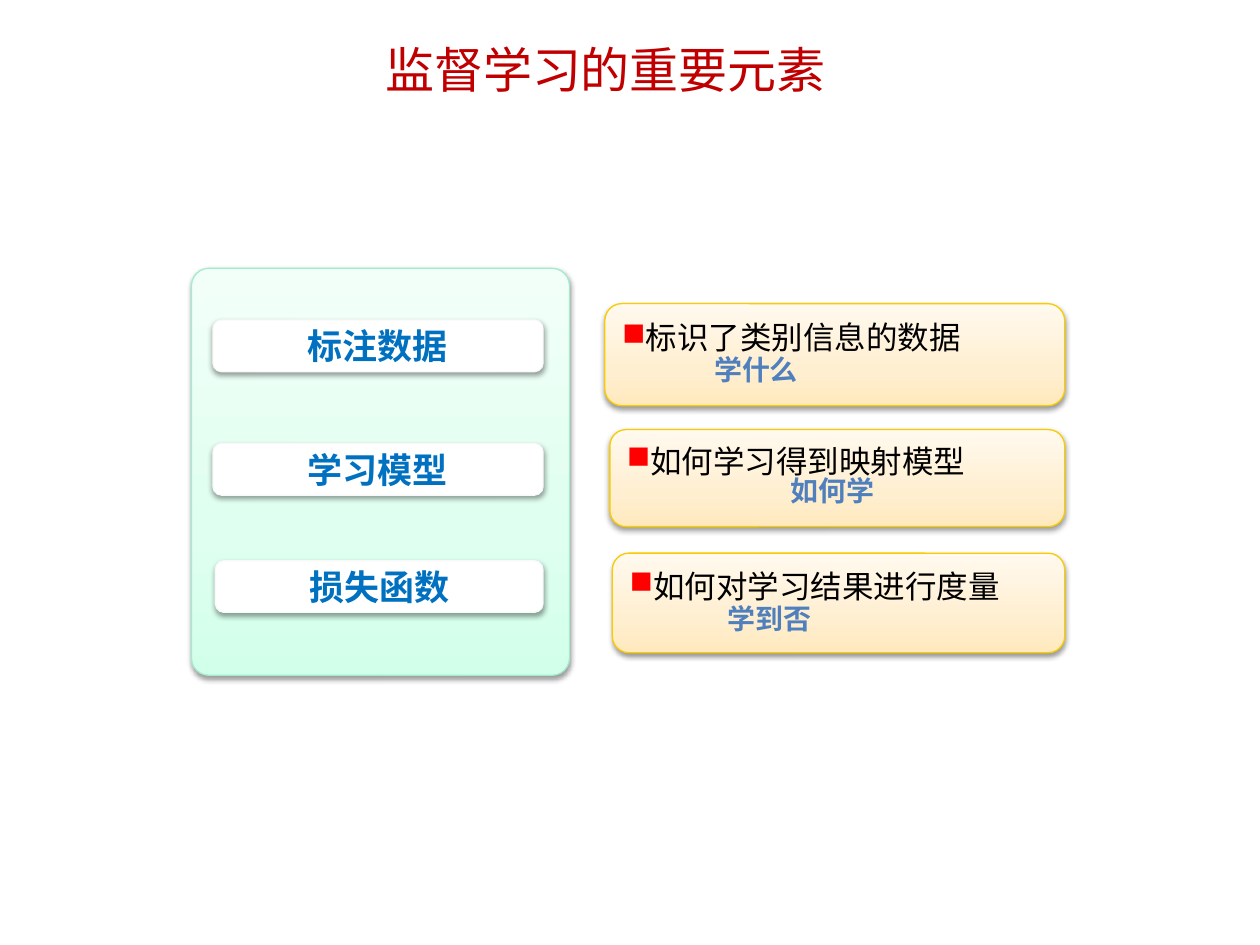
from dataclasses import dataclass
from pptx import Presentation
from pptx.dml.color import RGBColor as Rgb
from pptx.enum.shapes import MSO_SHAPE as Shape
from pptx.enum.text import MSO_ANCHOR as Anchor, PP_ALIGN as Align
from pptx.oxml import parse_xml
from pptx.oxml.ns import nsdecls, qn
from pptx.util import Inches, Pt


@dataclass(frozen=True)
class Theme:
    face: str = "Noto Sans CJK SC"
    serif: str = "Times New Roman"
    title: str = "C00000"
    label: str = "0070C0"
    body: str = "000000"
    key: str = "4F80BD"
    mark: str = "FF0000"
    white: str = "FFFFFF"
    rim: str = "F9F9F9"
    mint: tuple = ("D2FFEA", "DFFFF0", "F2FFF9")
    leaf: str = "A5EBCD"
    cream: tuple = ("FFE9BD", "FFEFD1", "FFF9EE")
    gold: str = "FACB00"
    head: int = 28
    big: int = 20
    mid: int = 18
    small: int = 16


def node(tag, attrs="", inner=""):
    return parse_xml(f"<a:{tag} {nsdecls('a')} {attrs}>{inner}</a:{tag}>")


def write(par, text, size, color, face, bold=False, align=Align.LEFT,
          space=1.0, left=0, hang=0, mark=None):
    props = par._p.get_or_add_pPr()
    props.set("marL", str(Inches(left)))
    props.set("indent", str(Inches(-hang)))
    par.alignment, par.line_spacing = align, space
    if mark:
        props.append(node("buClr", inner=f'<a:srgbClr val="{mark}"/>'))
        props.append(node("buChar", 'char="■"'))
    run = par.add_run()
    run.text = text
    font = run.font
    font.size, font.bold, font.name = Pt(size), bold, face
    font.color.rgb = Rgb.from_string(color)
    font._element.find(qn("a:latin")).addnext(
        node("ea", f'typeface="{Theme.face}"'))


class Deck:
    """Hold the theme and the current slide, and draw each kind of element."""

    def __init__(self, theme):
        self.look = theme
        self.show = Presentation()
        self.show.slide_width, self.show.slide_height = Inches(10), Inches(7.5)
        self.page = self.show.slides.add_slide(self.show.slide_layouts[5])

    def frame(self, shape, top=0.0, foot=0.0):
        frame = shape.text_frame
        frame.word_wrap, frame.vertical_anchor = True, Anchor.MIDDLE
        frame.margin_left = frame.margin_right = Inches(0.1)
        frame.margin_top, frame.margin_bottom = Inches(top), Inches(foot)
        return frame

    def title(self, text, *area):
        look, shape = self.look, self.page.shapes.title
        shape.left, shape.top, shape.width, shape.height = map(Inches, area)
        frame = self.frame(shape, 0.16, 0.05)
        write(frame.paragraphs[0], text, look.head, look.title, look.face,
              align=Align.CENTER, space=0.9)

    def box(self, area, fill, line, bend=None):
        shape = self.page.shapes.add_shape(
            Shape.ROUNDED_RECTANGLE, *map(Inches, area))
        if bend is not None:
            shape.adjustments[0] = bend
        props = shape._element.spPr
        if isinstance(fill, tuple):
            stops = "".join(
                f'<a:gs pos="{pos}"><a:srgbClr val="{tint}"/></a:gs>'
                for pos, tint in zip((0, 35000, 100000), fill))
            props.find(qn("a:prstGeom")).addnext(node(
                "gradFill", inner=f"<a:gsLst>{stops}</a:gsLst>"
                '<a:lin ang="16200000" scaled="0"/>'))
        else:
            shape.fill.solid()
            shape.fill.fore_color.rgb = Rgb.from_string(fill)
        shape.line.color.rgb = Rgb.from_string(line)
        shape.line.width = Pt(0.75)
        props.append(node(
            "effectLst", inner=f'<a:outerShdw blurRad="{Pt(3.1)}" '
            f'dist="{Pt(1.6)}" dir="5400000" rotWithShape="0">'
            '<a:srgbClr val="000000"><a:alpha val="38000"/></a:srgbClr>'
            '</a:outerShdw>'))
        return shape

    def panel(self, *area):
        self.box(area, self.look.mint, self.look.leaf, 0.046)

    def label(self, text, left, top):
        look = self.look
        shape = self.box((left, top, 4.31 - left, 0.41), look.white, look.rim)
        write(self.frame(shape).paragraphs[0], text, look.big, look.label,
              look.serif, bold=True, align=Align.CENTER)

    def card(self, text, key, left, top, high, shift, space):
        look = self.look
        shape = self.box((left, top, 8.45 - left, high), look.cream, look.gold)
        frame = self.frame(shape)
        write(frame.paragraphs[0], text, look.mid, look.body, look.face,
              space=space, left=0.14, hang=0.14, mark=look.mark)
        write(frame.add_paragraph(), key, look.small, look.key, look.face,
              bold=True, space=space, left=shift)

    def save(self):
        self.show.save("out.pptx")


def main():
    deck = Deck(Theme())
    deck.title("监督学习的重要元素", 0.7, 0.16, 8.21, 0.72)
    deck.panel(1.52, 2.13, 3, 3.23)
    rows = [
        (("标注数据", 1.69, 2.54),
         ("标识了类别信息的数据", "学什么", 4.8, 2.41, 0.81, 0.73, 0.9)),
        (("学习模型", 1.69, 3.52),
         ("如何学习得到映射模型", "如何学", 4.84, 3.41, 0.77, 1.3, 0.8)),
        (("损失函数", 1.71, 4.45),
         ("如何对学习结果进行度量", "学到否", 4.86, 4.39, 0.79, 0.78, 0.9)),
    ]
    for label, card in rows:
        deck.label(*label)
        deck.card(*card)
    deck.save()


if __name__ == "__main__":
    main()
